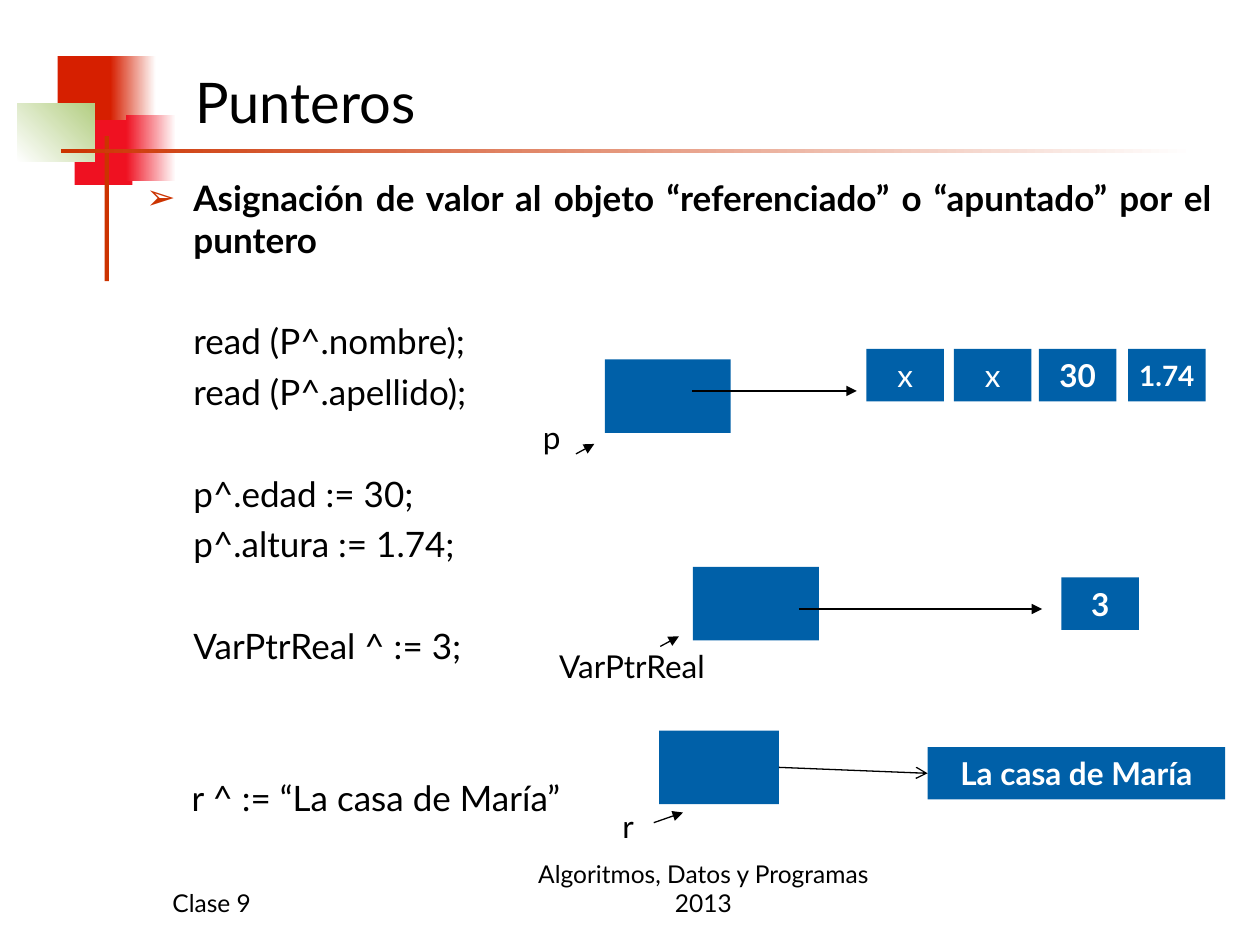
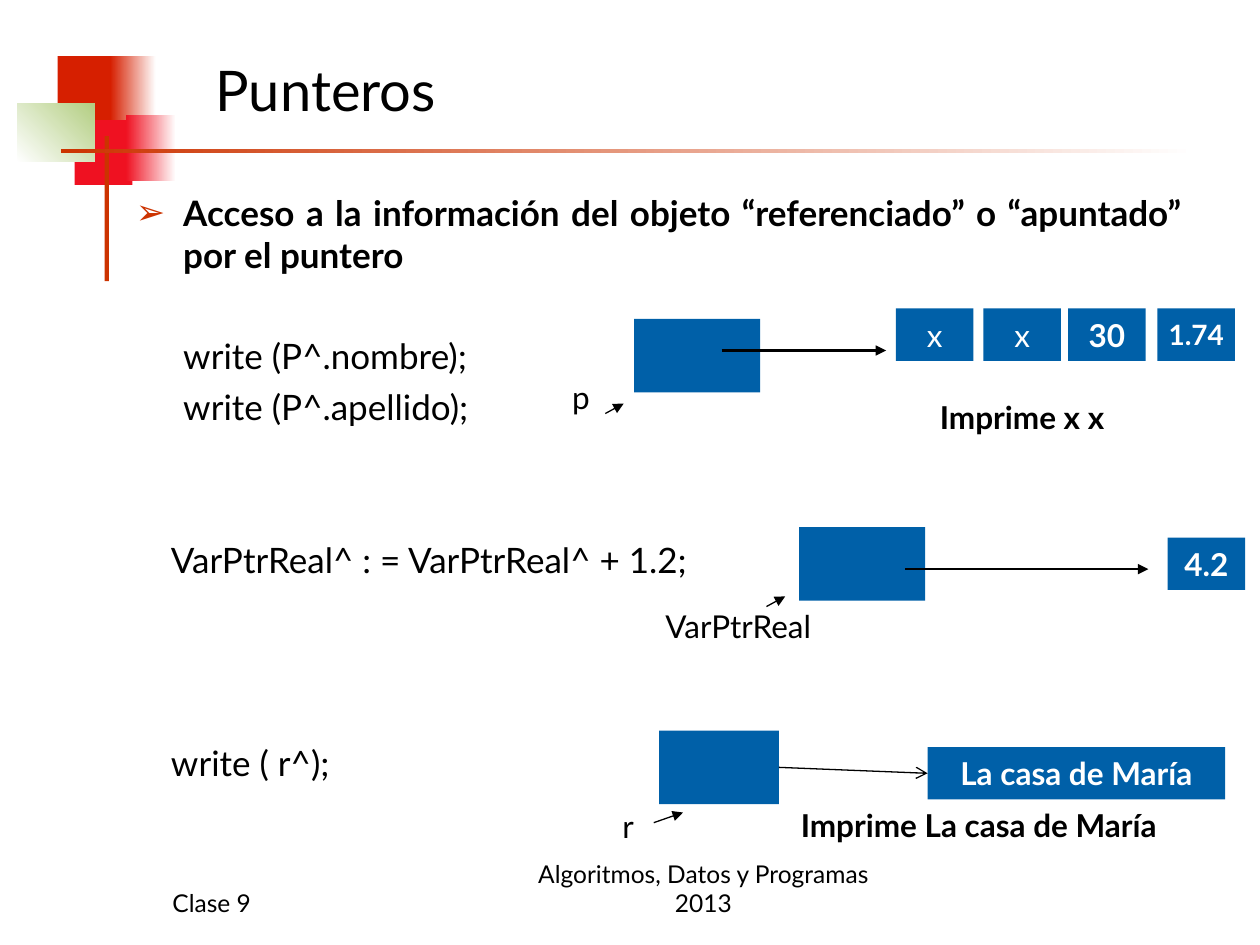
from lxml import etree
from pptx import Presentation
from pptx.dml import color
from pptx.enum import shapes, text
from pptx.oxml import ns
from pptx.util import Pt

FONT = "Lato"
BLACK, WHITE, BLUE, RUST = "000000", "FFFFFF", "0060A8", "CC3300"
RED, CRIMSON, GREEN = "D61F00", "EF1121", "B3CE82"
LEFT, CENTER, JUSTIFY = text.PP_ALIGN.LEFT, text.PP_ALIGN.CENTER, text.PP_ALIGN.JUSTIFY
TOP, MIDDLE, BOTTOM = text.MSO_ANCHOR.TOP, text.MSO_ANCHOR.MIDDLE, text.MSO_ANCHOR.BOTTOM

# (left, top, width, height), colours from start to end, gradient angle
DECORATION = [
    ((33, 32, 35, 37), [RED], 0),
    ((63, 32, 26, 37), [RED, WHITE], 0),
    ((42.7, 68.7, 33, 37), [CRIMSON], 0),
    ((72, 65.7, 28.5, 37.5), [CRIMSON, WHITE], 0),
    ((9.8, 59, 44.2, 33.5), [WHITE, GREEN], 45),
    ((59.8, 77.8, 2.4, 82.8), [RUST], 0),
    ((34.8, 85, 648, 2.4), [RUST, WHITE], 0),
]
FOOTERS = [
    ("Clase 9", (91.5, 491.8, 150, 36), LEFT),
    ("Algoritmos, Datos y Programas 2013", (288, 491.8, 228, 36), CENTER),
]

BODY_SIZE, LINE_GAP, LINE_STEP = 20, 5, 29
TEXT_INDENT = 27
BOX_HEIGHT, CELL_HEIGHT, LABEL_HEIGHT = 42, 30, 29

# Offsets are measured from the top left corner of the pointer's box.
# A cell is (text, x, y, width, size, bold); no arrow means box joined to cell.
P_POINTER = {
    "name": "p", "width": 72, "label": (-42.5, 30, 61),
    "cells": [("x", 149.5, -6, 44.3, 18, False), ("x", 199.5, -6, 44.3, 18, False),
              ("30", 248, -6, 44.3, 18, True), ("1.74", 299, -6, 44.3, 16, True)],
    "arrow": (50, 18, 144, 18), "hint": (-16.5, 54, -6, 48.3),
}
R_POINTER = {
    "name": "r", "width": 68.5, "label": (-28, 40.3, 90),
    "cells": [("La casa de María", 153.5, 9.4, 170, 18, True)],
    "arrow": None, "hint": (-3, 52.6, 13.7, 46.8),
}


def real_pointer(value):
    return {
        "name": "VarPtrReal", "width": 72, "label": (-83.5, 42, 138),
        "cells": [(value, 210.5, 6, 44.3, 18, True)],
        "arrow": (60.5, 24, 199.5, 24), "hint": (-18.7, 45.4, -8, 39.6),
    }


# A code line is (text, empty lines above, indent).
SLIDES = [
    {
        "title": "Punteros", "title_at": (104.4, 28.8, 590, 57.6),
        "body_at": (76.3, 97.2, 623.5, 433.5),
        "heading": "Asignación de valor al objeto “referenciado” o “apuntado” por el puntero",
        "code": [("read (P^.nombre);", 1, TEXT_INDENT), ("read (P^.apellido);", 0, TEXT_INDENT),
                 ("p^.edad := 30;", 1, TEXT_INDENT), ("p^.altura := 1.74;", 0, TEXT_INDENT),
                 ("VarPtrReal ^ := 3;", 1, TEXT_INDENT),
                 ("r ^ := “La casa de María”", 2, 26)],
        "pointers": [(P_POINTER, 345.6, 205.4), (real_pointer("3"), 396, 324),
                     (R_POINTER, 376.6, 417.5)],
        "printed": [],
    },
    {
        "title": "Punteros", "title_at": (116, 16.6, 578, 69),
        "body_at": (70.5, 105.8, 612, 416),
        "heading": "Acceso a la información del objeto “referenciado” o “apuntado” por el puntero",
        "code": [("write (P^.nombre);", 1, TEXT_INDENT), ("write (P^.apellido);", 0, TEXT_INDENT),
                 ("VarPtrReal^ : = VarPtrReal^ + 1.2;", 2, 20), ("write ( r^);", 3, 20)],
        "pointers": [(P_POINTER, 362.4, 182.3), (real_pointer("4.2"), 456.7, 301.2),
                     (R_POINTER, 376.6, 417.5)],
        "printed": [("Imprime x x", (530, 224, 142, LABEL_HEIGHT)),
                    ("Imprime La casa de María", (450.5, 457, 250, LABEL_HEIGHT))],
    },
]


def rgb(value):
    return color.RGBColor.from_string(value)


def points(values):
    return [Pt(value) for value in values]


def add_run(paragraph, words, size, ink=BLACK, bold=False):
    run = paragraph.add_run()
    run.text = words
    run.font.name, run.font.size, run.font.bold = FONT, Pt(size), bold
    run.font.color.rgb = rgb(ink)


def write_line(shape, words, size, ink=BLACK, bold=False, align=LEFT, anchor=TOP, wrap=True):
    frame = shape.text_frame
    frame.word_wrap, frame.vertical_anchor = wrap, anchor
    frame.auto_size = text.MSO_AUTO_SIZE.NONE
    frame.paragraphs[0].alignment = align
    add_run(frame.paragraphs[0], words, size, ink, bold)


def add_label(parent, words, place, size=18, **style):
    write_line(parent.shapes.add_textbox(*points(place)), words, size, **style)


def add_block(parent, place, colours, angle=0):
    """Add a rectangle without outline, filled with one colour or a gradient of two."""
    block = parent.shapes.add_shape(shapes.MSO_SHAPE.RECTANGLE, *points(place))
    block.shadow.inherit = False
    block.line.fill.background()
    if len(colours) == 1:
        block.fill.solid()
        block.fill.fore_color.rgb = rgb(colours[0])
    else:
        block.fill.gradient()
        block.fill.gradient_angle = angle
        for stop, colour in zip(block.fill.gradient_stops, colours):
            stop.color.rgb = rgb(colour)
    return block


def add_arrow(parent, ends, width=0.75, head="triangle"):
    arrow = parent.shapes.add_connector(shapes.MSO_CONNECTOR.STRAIGHT, *points(ends))
    arrow.line.color.rgb = rgb(BLACK)
    arrow.line.width = Pt(width)
    properties = arrow.element.spPr
    etree.SubElement(properties.find(ns.qn("a:ln")), ns.qn("a:tailEnd"), type=head)
    etree.SubElement(properties, ns.qn("a:effectLst"))
    return arrow


def add_pointer(slide, pointer, left, top):
    """Draw a pointer's box and name, and an arrow to the cells it refers to."""
    group = slide.shapes.add_group_shape()

    def shifted(ends):
        return [value + (left, top)[i % 2] for i, value in enumerate(ends)]

    box = add_block(group, (left, top, pointer["width"], BOX_HEIGHT), [BLUE])
    x, y, width = pointer["label"]
    add_label(group, pointer["name"], (left + x, top + y, width, LABEL_HEIGHT))
    for words, x, y, width, size, bold in pointer["cells"]:
        cell = add_block(group, (left + x, top + y, width, CELL_HEIGHT), [BLUE])
        write_line(cell, words, size, WHITE, bold, CENTER, MIDDLE, wrap=False)
    add_arrow(group, shifted(pointer["hint"]))
    if pointer["arrow"]:
        add_arrow(group, shifted(pointer["arrow"]), width=1.5)
    else:
        joined = add_arrow(group, (left, top, left, top), head="arrow")
        joined.begin_connect(box, 3)
        joined.end_connect(cell, 1)


def set_paragraph(paragraph, indent, hanging=0, bullet=None):
    properties = paragraph._p.get_or_add_pPr()
    properties.set("marL", str(Pt(indent)))
    properties.set("indent", str(Pt(-hanging)))
    if bullet:
        tint = etree.SubElement(properties, ns.qn("a:buClr"))
        etree.SubElement(tint, ns.qn("a:srgbClr"), val=RUST)
        etree.SubElement(properties, ns.qn("a:buChar"), char=bullet)
    else:
        etree.SubElement(properties, ns.qn("a:buNone"))
    paragraph.alignment = JUSTIFY


def place(shape, box):
    shape.left, shape.top, shape.width, shape.height = points(box)


def fill_body(body, content):
    place(body, content["body_at"])
    frame = body.text_frame
    frame.auto_size = text.MSO_AUTO_SIZE.NONE
    heading = frame.paragraphs[0]
    set_paragraph(heading, TEXT_INDENT, TEXT_INDENT, "➢")
    heading.space_before = Pt(0)
    add_run(heading, content["heading"], BODY_SIZE, bold=True)
    for words, empty_lines, indent in content["code"]:
        paragraph = frame.add_paragraph()
        set_paragraph(paragraph, indent)
        paragraph.space_before = Pt(LINE_GAP + empty_lines * LINE_STEP)
        add_run(paragraph, words, BODY_SIZE)


def decorate_layout(layout, slide):
    """Draw the shared decoration on a slide and move it behind the layout's placeholders."""
    for i, (box, colours, angle) in enumerate(DECORATION):
        block = add_block(slide, box, colours, angle).element
        block.nvSpPr.cNvPr.set("id", str(100 + i))
        layout.shapes.element.insert(2 + i, block)


def add_slide(presentation, layout, content):
    slide = presentation.slides.add_slide(layout)
    title, body = slide.placeholders
    place(title, content["title_at"])
    write_line(title, content["title"], 32, anchor=MIDDLE)
    fill_body(body, content)
    for pointer, left, top in content["pointers"]:
        add_pointer(slide, pointer, left, top)
    for words, box in content["printed"]:
        add_label(slide, words, box, bold=True)
    for words, box, align in FOOTERS:
        add_label(slide, words, box, 14, align=align, anchor=BOTTOM)
    return slide


def main():
    presentation = Presentation()
    presentation.slide_width, presentation.slide_height = Pt(720), Pt(540)
    layout = presentation.slide_layouts[1]
    slides = [add_slide(presentation, layout, content) for content in SLIDES]
    decorate_layout(layout, slides[0])
    presentation.save("out.pptx")


if __name__ == "__main__":
    main()
